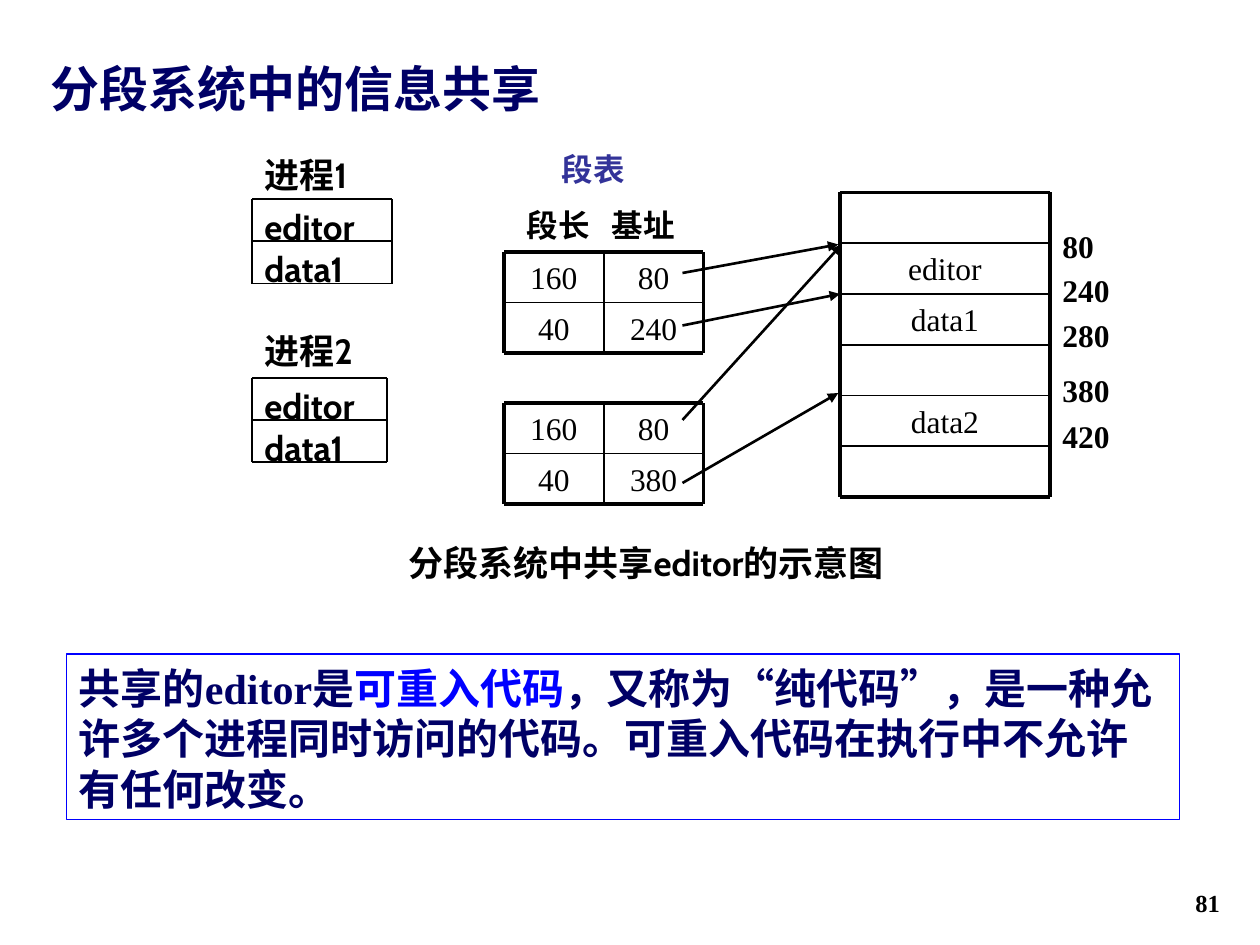
from lxml import etree
from pptx import Presentation
from pptx.dml.color import RGBColor
from pptx.enum.lang import MSO_LANGUAGE_ID
from pptx.enum.shapes import MSO_CONNECTOR, MSO_SHAPE
from pptx.enum.text import MSO_ANCHOR, PP_ALIGN
from pptx.oxml.ns import qn
from pptx.util import Pt

LEFT, CENTER, RIGHT = PP_ALIGN.LEFT, PP_ALIGN.CENTER, PP_ALIGN.RIGHT
TOP, BOTTOM = MSO_ANCHOR.TOP, MSO_ANCHOR.BOTTOM
STRAIGHT, RECTANGLE = MSO_CONNECTOR.STRAIGHT, MSO_SHAPE.RECTANGLE
CHINESE = MSO_LANGUAGE_ID.SIMPLIFIED_CHINESE
SANS, SERIF, CJK = "Cabin", "Times New Roman", "Noto Sans CJK SC"
BLACK, NAVY, BLUE, INDIGO = "000000", "000066", "0000FF", "333399"
THIN, THICK = 1, 2.25

# Content: process grids, segment tables and memory
# (left, top, column width, row height, rows)
PROCESSES = [
    (144, 113.8, 80, 24.1, [["editor"], ["data1"]]),
    (144, 216, 77, 24, [["editor"], ["data1"]]),
]
SEGMENT_TABLES = [
    (288, 144, 57, 28.8, [["160", "80"], ["40", "240"]]),
    (288, 230.4, 57, 28.8, [["160", "80"], ["40", "380"]]),
]
MEMORY = (480, 110, 120, 29, [[""], ["editor"], ["data1"], [""], ["data2"], [""]])
# Address and the space above it
ADDRESSES = [("80", 0), ("240", 4), ("280", 4), ("380", 9.5), ("420", 5)]
ARROWS = [
    (390, 156, 479, 139.7),
    (390, 240, 481, 139.7),
    (390, 276, 479, 224.6),
    (390, 186, 480, 168),
]
# Labels: place, text, size, font, colour, alignment
LABELS = [
    ((22, 29.8, 375, 41), "分段系统中的信息共享", 28, CJK, NAVY, LEFT),
    ((144, 84.2, 72, 31), "进程1", 20, SANS, BLACK, LEFT),
    ((144, 185, 72, 31), "进程2", 20, SANS, BLACK, LEFT),
    ((312, 85, 54, 23), "段表", 18, SANS, INDIGO, CENTER),
    ((293.8, 114, 108, 28.8), "段长\t基址", 18, SANS, BLACK, LEFT),
    ((150.3, 306, 437.8, 31), "分段系统中共享editor的示意图", 20, SANS, BLACK, CENTER),
]
HEADER_TAB = 48.7
SUMMARY = [
    ("共享的editor是", NAVY),
    ("可重入代码", BLUE),
    ("，又称为“纯代码”，是一种允许多个进程同时访问的代码。"
     "可重入代码在执行中不允许有任何改变。", NAVY),
]


def color(value):
    return RGBColor.from_string(value)


def add_span(para, text, size, font, value=BLACK, bold=True, east_asian=SANS):
    span = para.add_run()
    span.text = text
    span.font.size, span.font.bold, span.font.name = Pt(size), bold, font
    span.font.color.rgb = color(value)
    span.font.language_id = CHINESE
    latin = span.font._element.find(qn("a:latin"))
    latin.addnext(etree.Element(qn("a:ea"), typeface=east_asian))


def add_box(page, place, anchor=TOP):
    box = page.shapes.add_textbox(*map(Pt, place))
    box.text_frame.word_wrap = True
    box.text_frame.vertical_anchor = anchor
    return box


def add_text(page, place, text, size, font, value=BLACK, align=LEFT, bold=True, anchor=TOP):
    box = add_box(page, place, anchor)
    para = box.text_frame.paragraphs[0]
    para.alignment = align
    if "\t" in text:
        tabs = etree.SubElement(para._p.get_or_add_pPr(), qn("a:tabLst"))
        etree.SubElement(tabs, qn("a:tab"), pos=str(Pt(HEADER_TAB)), algn="l")
    add_span(para, text, size, font, value, bold)
    return box


def add_line(page, x1, y1, x2, y2, width, arrow=False):
    line = page.shapes.add_connector(STRAIGHT, Pt(x1), Pt(y1), Pt(x2), Pt(y2))
    line.line.width = Pt(width)
    line.line.color.rgb = color(BLACK)
    if arrow:
        etree.SubElement(line.line._get_or_add_ln(), qn("a:tailEnd"), type="triangle")
    etree.SubElement(line._element.spPr, qn("a:effectLst"))


def add_grid(page, grid, border, size, font, align, bold):
    left, top, width, height, rows = grid
    columns = len(rows[0])
    right, bottom = left + columns * width, top + len(rows) * height
    for r, row in enumerate(rows):
        for c, text in enumerate(row):
            if text:
                place = (left + c * width, top + r * height, width, height)
                add_text(page, place, text, size, font, BLACK, align, bold)
    for r in range(len(rows) + 1):
        y = top + r * height
        add_line(page, left, y, right, y, border if r in (0, len(rows)) else THIN)
    for c in range(columns + 1):
        x = left + c * width
        add_line(page, x, top, x, bottom, border if c in (0, columns) else THIN)


deck = Presentation()
deck.slide_width, deck.slide_height = Pt(720), Pt(540)
page = deck.slides.add_slide(deck.slide_layouts[6])

# Grids
for process in PROCESSES:
    add_grid(page, process, THIN, 20, SANS, LEFT, True)
for grid in SEGMENT_TABLES + [MEMORY]:
    add_grid(page, grid, THICK, 18, SERIF, CENTER, False)

# Title, headings and caption
for label in LABELS:
    box = add_text(page, *label)
    if label[1] == "段表":
        frame = box.text_frame
        frame.margin_left = frame.margin_right = Pt(4.3)
        frame.margin_top = frame.margin_bottom = Pt(0.7)

# Arrows from base addresses into memory
for arrow in ARROWS:
    add_line(page, *arrow, 1.5, arrow=True)

# Memory addresses
frame = add_box(page, (600, 126, 66, 142.6)).text_frame
for index, (address, space) in enumerate(ADDRESSES):
    para = frame.add_paragraph() if index else frame.paragraphs[0]
    if index:
        para.space_before = Pt(space)
    add_span(para, address, 18, SERIF)

# Summary, with full-width quotation marks and fixed line spacing
summary = page.shapes.add_shape(RECTANGLE, Pt(38), Pt(373.7), Pt(636), Pt(94.5))
summary.shadow.inherit = False
summary.fill.background()
summary.line.color.rgb = color(BLUE)
summary.line.width = Pt(0.75)
summary.text_frame.word_wrap = True
summary.text_frame.vertical_anchor = TOP
summary.text_frame.margin_top = Pt(4.5)
para = summary.text_frame.paragraphs[0]
para.alignment = LEFT
para.line_spacing = Pt(29)
for text, value in SUMMARY:
    add_span(para, text, 24, SERIF, value, east_asian=CJK)

# Page number
add_text(page, (554.4, 491.8, 149.8, 36), "81", 14, SERIF, align=RIGHT, anchor=BOTTOM)

deck.save("out.pptx")
